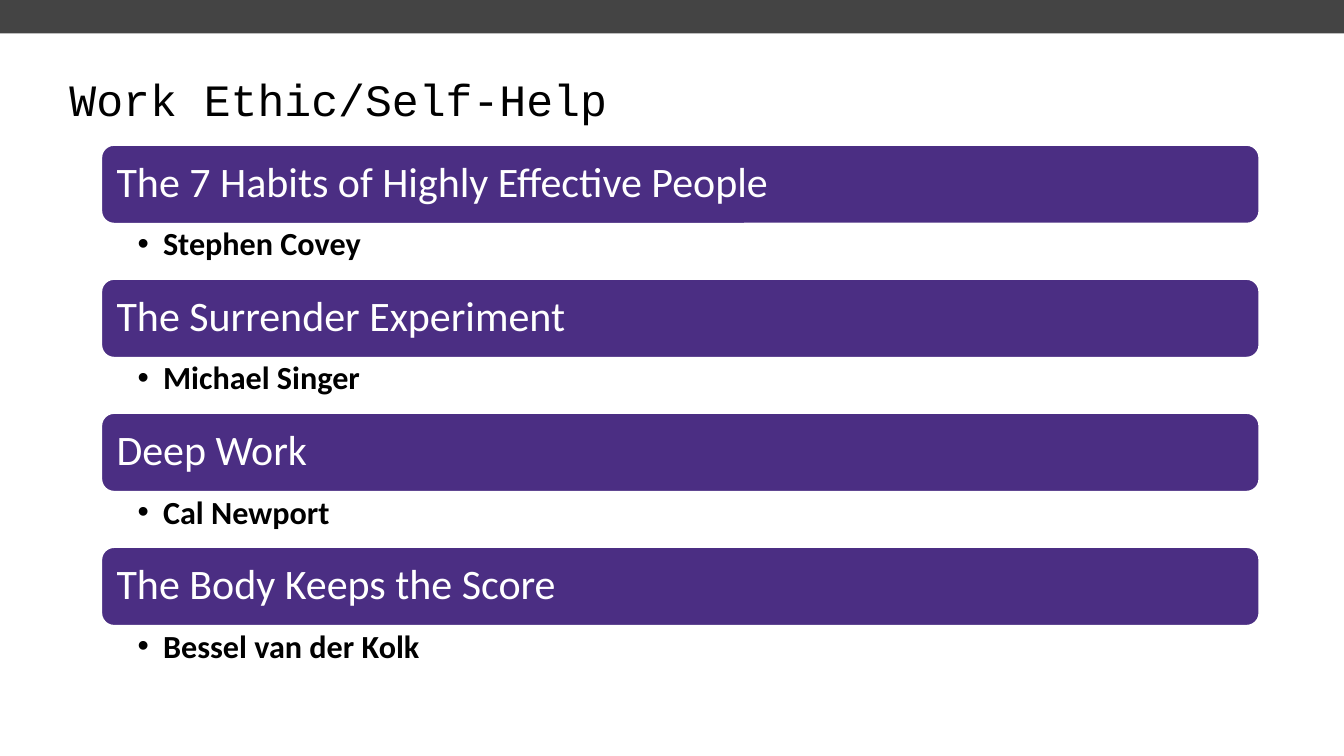
from dataclasses import dataclass

from lxml.etree import SubElement
from pptx import Presentation
from pptx.dml.color import RGBColor
from pptx.enum.shapes import MSO_SHAPE
from pptx.enum.text import MSO_ANCHOR, PP_ALIGN
from pptx.oxml.ns import qn
from pptx.util import Cm, Pt


@dataclass(frozen=True)
class Theme:
    """Colours, fonts and type sizes of the slide."""
    band: RGBColor = RGBColor(0x44, 0x44, 0x44)
    bar: RGBColor = RGBColor(0x4B, 0x2E, 0x83)
    light: RGBColor = RGBColor(0xFF, 0xFF, 0xFF)
    dark: RGBColor = RGBColor(0x00, 0x00, 0x00)
    title_font: str = "Courier New"
    body_font: str = "Calibri"
    title_size: int = 32
    book_size: int = 30
    author_size: int = 23


THEME = Theme()
BOOKS = [
    ("The 7 Habits of Highly Effective People", "Stephen Covey"),
    ("The Surrender Experiment", "Michael Singer"),
    ("Deep Work", "Cal Newport"),
    ("The Body Keeps the Score", "Bessel van der Kolk"),
]


def write(sp, text, font, size, color, insets, anchor, bold=False):
    """Set one left-aligned line of text in a shape and return its paragraph."""
    tf = sp.text_frame
    tf.word_wrap = True
    tf.vertical_anchor = anchor
    tf.margin_left, tf.margin_top, tf.margin_right, tf.margin_bottom = map(Cm, insets)
    p = tf.paragraphs[0]
    p.alignment = PP_ALIGN.LEFT
    p.line_spacing = 0.9
    r = p.add_run()
    r.text = text
    r.font.name = font
    r.font.size = Pt(size)
    r.font.bold = bold
    r.font.color.rgb = color
    return p


def add_bullet(p, indent):
    """Give a paragraph a round bullet with a hanging indent."""
    pPr = p._p.get_or_add_pPr()
    pPr.set("marL", str(Cm(indent)))
    pPr.set("indent", str(-Cm(indent)))
    SubElement(pPr, qn("a:buFont")).set("typeface", "Arial")
    SubElement(pPr, qn("a:buChar")).set("char", "•")


def add_band(s, left, top, width, height):
    """Draw the plain band along the top edge."""
    sp = s.shapes.add_shape(MSO_SHAPE.RECTANGLE, Cm(left), Cm(top), Cm(width), Cm(height))
    sp.shadow.inherit = False
    sp.fill.solid()
    sp.fill.fore_color.rgb = THEME.band
    sp.line.fill.background()


def add_title(s, text, left, top, width, height):
    """Place the slide title."""
    sp = s.shapes.add_textbox(Cm(left), Cm(top), Cm(width), Cm(height))
    write(sp, text, THEME.title_font, THEME.title_size, THEME.dark,
          (0.25, 0.13, 0.25, 0.13), MSO_ANCHOR.MIDDLE)


def add_book(s, title, author, left, top, width, height):
    """Place a book bar with its author below, within one box."""
    bar_height = height * 0.595
    sp = s.shapes.add_shape(MSO_SHAPE.ROUNDED_RECTANGLE,
                            Cm(left), Cm(top), Cm(width), Cm(bar_height))
    sp.shadow.inherit = False
    sp.fill.solid()
    sp.fill.fore_color.rgb = THEME.bar
    sp.line.color.rgb = THEME.light
    sp.line.width = Pt(2)
    write(sp, title, THEME.body_font, THEME.book_size, THEME.light,
          (0.3, 0.3, 0.3, 0.3), MSO_ANCHOR.MIDDLE)

    sp = s.shapes.add_textbox(Cm(left), Cm(top + bar_height),
                              Cm(width), Cm(height - bar_height))
    p = write(sp, author, THEME.body_font, THEME.author_size, THEME.dark,
              (0.93, 0.1, 0.58, 0.1), MSO_ANCHOR.TOP, bold=True)
    add_bullet(p, 0.64)


def add_book_list(s, books, left, top, width, height):
    """Stack the books in equal rows."""
    row = height / len(books)
    for i, (title, author) in enumerate(books):
        add_book(s, title, author, left, top + i * row, width, row)


def main():
    """Build and save the slide."""
    prs = Presentation()
    prs.slide_width, prs.slide_height = Cm(33.87), Cm(19.05)
    s = prs.slides.add_slide(prs.slide_layouts[6])
    add_band(s, 0, 0, 33.87, 0.84)
    add_title(s, "Work Ethic/Self-Help", 1.5, 1.19, 31.32, 2.74)
    add_book_list(s, BOOKS, 2.54, 3.64, 29.21, 13.51)
    prs.save("out.pptx")


if __name__ == "__main__":
    main()
